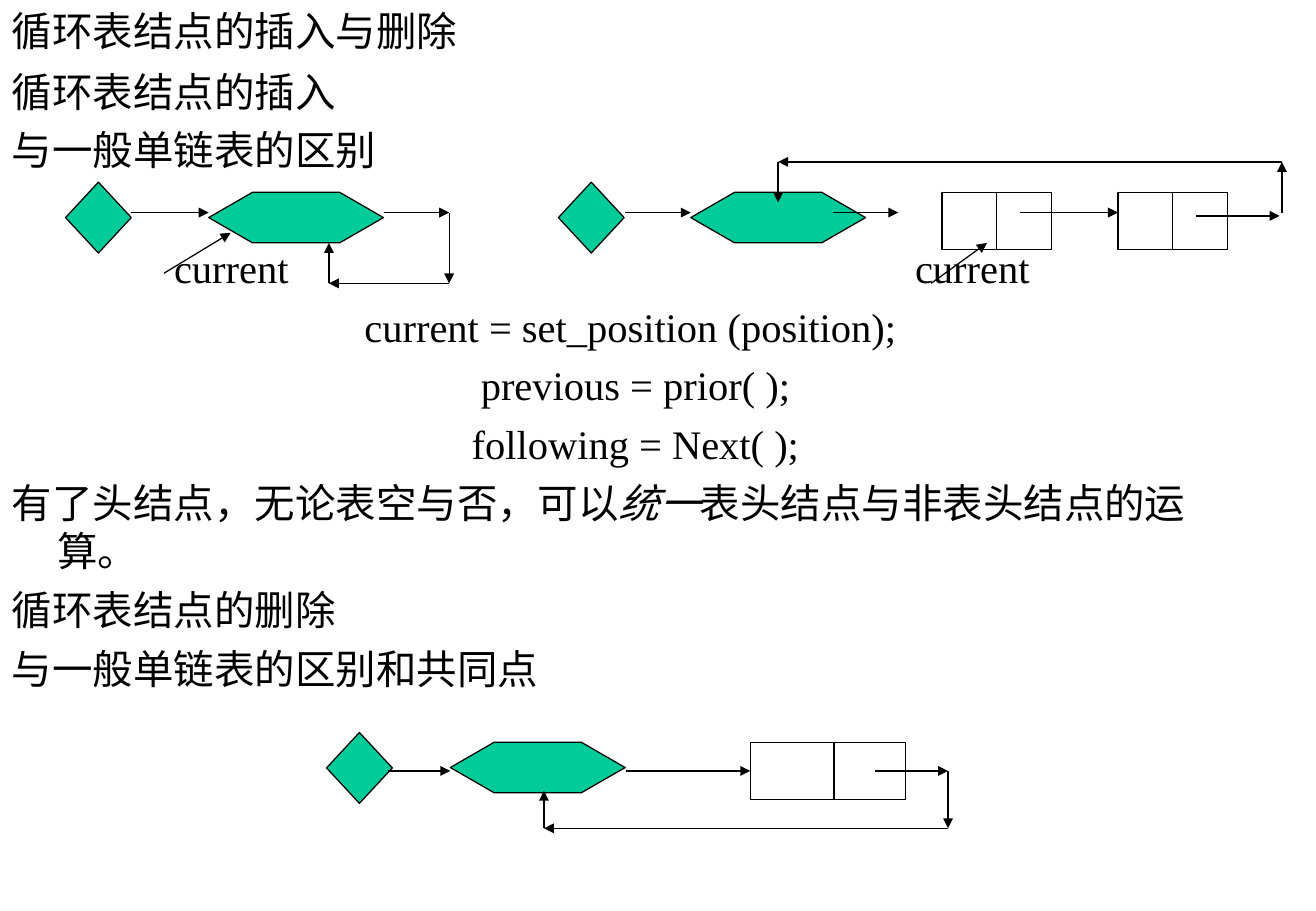
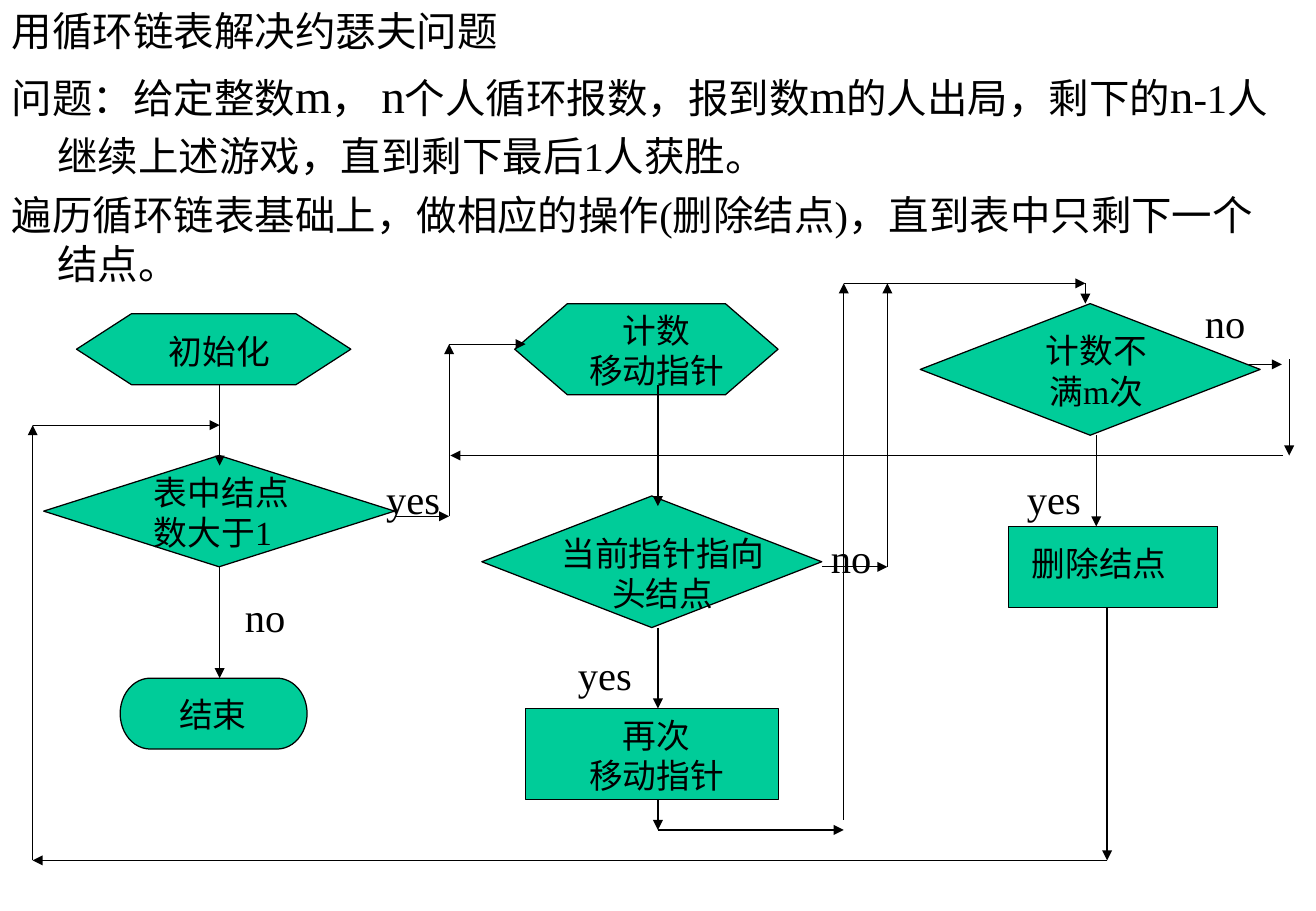
from dataclasses import dataclass
from typing import NamedTuple, Optional

from lxml import etree
from pptx import Presentation
from pptx.dml.color import RGBColor
from pptx.enum.shapes import MSO_CONNECTOR, MSO_SHAPE
from pptx.enum.text import MSO_ANCHOR, PP_ALIGN
from pptx.oxml.ns import qn
from pptx.util import Pt

LEFT, CENTER = PP_ALIGN.LEFT, PP_ALIGN.CENTER
TOP, MIDDLE = MSO_ANCHOR.TOP, MSO_ANCHOR.MIDDLE
DIAMOND, HEXAGON, RECTANGLE = MSO_SHAPE.DIAMOND, MSO_SHAPE.HEXAGON, MSO_SHAPE.RECTANGLE
PREPARATION = MSO_SHAPE.FLOWCHART_PREPARATION
DECISION = MSO_SHAPE.FLOWCHART_DECISION
TERMINATOR = MSO_SHAPE.FLOWCHART_TERMINATOR
PROCESS = MSO_SHAPE.FLOWCHART_PROCESS
STRAIGHT = MSO_CONNECTOR.STRAIGHT
LEFT_SIDE = 1


@dataclass(frozen=True)
class Theme:
    font: str = "Times New Roman"
    ink: RGBColor = RGBColor(0, 0, 0)
    node: RGBColor = RGBColor(0x00, 0xCC, 0x99)
    paper: RGBColor = RGBColor(255, 255, 255)
    body: float = 24
    variable: float = 28
    caption: float = 20
    line: float = 0.75
    outer_border: float = 1.08
    inner_border: float = 0.45
    leading: float = 1.2
    gap: float = 6
    hanging: float = 27


THEME = Theme()
LINE_STEP = THEME.body * THEME.leading + THEME.gap


class Box(NamedTuple):
    left: float
    top: float
    width: float
    height: float

    def lengths(self) -> list:
        return [Pt(value) for value in self]


class Run(NamedTuple):
    text: str
    size: Optional[float] = None
    italic: Optional[bool] = None


class Label(NamedTuple):
    text: str
    left: float
    top: float


@dataclass(frozen=True)
class Step:
    """A flowchart outline with its caption box."""
    kind: MSO_SHAPE
    outline: Box
    caption: Box
    lines: tuple
    align: PP_ALIGN = CENTER
    anchor: MSO_ANCHOR = TOP


def add_text(slide, box: Box, paragraphs, size: float = THEME.body, align=LEFT,
             anchor=TOP, gap: float = 0, hanging: float = 0,
             insets: tuple = (7.2, 3.6), wrap: bool = True) -> None:
    """Write paragraphs, each a plain string or a list of runs."""
    frame = slide.shapes.add_textbox(*box.lengths()).text_frame
    frame.word_wrap = wrap
    frame.vertical_anchor = anchor
    frame.margin_left = frame.margin_right = Pt(insets[0])
    frame.margin_top = frame.margin_bottom = Pt(insets[1])
    for index, content in enumerate(paragraphs):
        paragraph = frame.add_paragraph() if index else frame.paragraphs[0]
        runs = [Run(content)] if isinstance(content, str) else content
        paragraph.alignment = align
        paragraph.space_before = Pt(gap if index else 0)
        tallest = max(run.size or size for run in runs)
        paragraph.line_spacing = Pt(round(tallest * THEME.leading, 2))
        properties = paragraph._p.get_or_add_pPr()
        properties.set("hangingPunct", "0")
        if hanging:
            properties.set("marL", str(Pt(hanging)))
            properties.set("indent", str(-Pt(hanging)))
        paragraph.font.name = THEME.font
        paragraph.font.size = Pt(size)
        paragraph.font.color.rgb = THEME.ink
        for piece in runs:
            run = paragraph.add_run()
            run.text = piece.text
            if piece.size:
                run.font.size = Pt(piece.size)
            if piece.italic:
                run.font.italic = True


def add_body(slide, box: Box, paragraphs) -> None:
    add_text(slide, box, paragraphs, gap=THEME.gap, hanging=THEME.hanging)


def add_label(slide, label: Label) -> None:
    add_text(slide, Box(label.left, label.top, 70, 28.8), [label.text],
             insets=(0, 0), wrap=False)


def add_titled_slide(presentation, title: str):
    slide = presentation.slides.add_slide(presentation.slide_layouts[6])
    add_text(slide, Box(0, 0, 663, 36), [title], anchor=MIDDLE)
    return slide


def add_outline(slide, kind, box: Box, fill: RGBColor = THEME.node):
    shape = slide.shapes.add_shape(kind, *box.lengths())
    shape.shadow.inherit = False
    shape.fill.solid()
    shape.fill.fore_color.rgb = fill
    shape.line.color.rgb = THEME.ink
    shape.line.width = Pt(THEME.line)
    return shape


def add_line(slide, start: tuple, end: tuple, arrow: bool = True):
    connector = slide.shapes.add_connector(
        STRAIGHT, *[Pt(value) for value in (*start, *end)])
    connector.line.color.rgb = THEME.ink
    connector.line.width = Pt(THEME.line)
    if arrow:
        etree.SubElement(connector.line._get_or_add_ln(), qn("a:tailEnd"), type="triangle")
    etree.SubElement(connector._element.spPr, qn("a:effectLst"))
    return connector


def add_route(slide, *points: tuple) -> None:
    """Draw one arrow from each point to the next."""
    for start, end in zip(points, points[1:]):
        add_line(slide, start, end)


def add_list_start(slide, pointer: tuple, head: tuple) -> None:
    """Draw the diamond of the list pointer and the hexagon of the head node."""
    add_outline(slide, DIAMOND, Box(*pointer, 39, 42))
    hexagon = add_outline(slide, HEXAGON, Box(*head, 103.7, 30))
    hexagon.adjustments[0] = 0.867


def set_border(cell, side: str, width: float) -> None:
    border = etree.SubElement(cell._tc.get_or_add_tcPr(), qn(f"a:{side}"), w=str(Pt(width)))
    fill = etree.SubElement(border, qn("a:solidFill"))
    etree.SubElement(fill, qn("a:srgbClr"), val=str(THEME.ink))


def add_node_table(slide, box: Box) -> None:
    table = slide.shapes.add_table(1, 2, *box.lengths()).table
    table.first_row = table.horz_banding = False
    inner_sides = ("lnR", "lnL")
    for cell, inner in zip(table.rows[0].cells, inner_sides):
        for side in ("lnL", "lnR", "lnT", "lnB"):
            set_border(cell, side, THEME.inner_border if side == inner else THEME.outer_border)
        cell.fill.background()


def build_insertion_slide(presentation) -> None:
    slide = add_titled_slide(presentation, "循环表结点的插入与删除")
    width = 753.8
    add_body(slide, Box(0, 36, width, 72), ["循环表结点的插入", "与一般单链表的区别"])
    add_text(slide, Box(0, 36 + 4 * LINE_STEP, width, 106),
             ["current = set_position (position); ", "previous = prior( );",
              "following = Next( );"], align=CENTER, gap=THEME.gap)
    add_body(slide, Box(0, 36 + 7 * LINE_STEP, width, 140), [
        [Run("有了头结点，无论表空与否，可以"), Run("统一", italic=True),
         Run("表头结点与非表头结点的运算。")],
        "循环表结点的删除", "与一般单链表的区别和共同点"])
    for left in (103.2, 542.7):
        add_label(slide, Label("current", left, 144))

    for pointer, head in (((38.9, 108), (123.8, 114)), ((331.2, 108), (409.7, 114)),
                          ((193.7, 434.2), (267.1, 440))):
        add_list_start(slide, pointer, head)
    for left in (558.7, 663.1):
        add_node_table(slide, Box(left, 114, 64.8, 33.8))

    routes = (
        ((78, 126), (123.8, 126)),
        ((227.5, 126), (266.4, 126), (266.4, 168), (195.1, 168), (195.1, 144)),
        ((370.8, 126), (409.7, 126)),
        ((493.9, 126), (532.8, 126)),
        ((604.8, 126), (663.1, 126)),
        ((709.2, 128), (758.9, 128)),
        ((760.3, 126), (760.3, 96), (461.5, 96), (461.5, 120)),
        ((97.2, 162), (136.8, 138)),
        ((552.2, 168), (585.4, 144)),
        ((230.4, 457), (267.1, 457)),
    )
    for route in routes:
        add_route(slide, *route)

    last_node = add_outline(slide, RECTANGLE, Box(445, 440, 92.2, 34), THEME.paper)
    add_line(slide, (494.6, 440), (494.6, 474), arrow=False)
    add_line(slide, (371.5, 457), (445, 457)).end_connect(last_node, LEFT_SIDE)
    add_route(slide, (519.1, 457), (562.3, 457), (562.3, 491), (322.6, 491), (322.6, 468.7))


def build_josephus_slide(presentation) -> None:
    slide = add_titled_slide(presentation, "用循环链表解决约瑟夫问题")
    m, n = Run("m", THEME.variable), Run("n", THEME.variable)
    add_body(slide, Box(0, 36, 760.3, 140), [
        [Run("问题：给定整数"), m, Run("， "), n, Run("个人循环报数，报到数"), m,
         Run("的人出局，剩下的"), n, Run("-1人继续上述游戏，直到剩下最后1人获胜。")],
        "遍历循环链表基础上，做相应的操作(删除结点)，直到表中只剩下一个结点。"])

    answer_top = 281.2
    labels = (
        Label("no", 714.6, answer_top - 3 * LINE_STEP),
        Label("yes", 229, answer_top),
        Label("yes", 609, answer_top),
        Label("no", 492.8, answer_top + LINE_STEP),
        Label("no", 145.3, answer_top + 2 * LINE_STEP),
        Label("yes", 342.8, answer_top + 3 * LINE_STEP),
    )
    for label in labels:
        add_label(slide, label)

    steps = (
        Step(PREPARATION, Box(45.4, 186, 162.7, 42), Box(71.3, 192, 117.4, 31.7),
             ("初始化",), anchor=MIDDLE),
        Step(DECISION, Box(25.9, 270, 208.1, 66), Box(84.2, 276, 110.2, 55.4),
             ("表中结点数大于1",), LEFT),
        Step(TERMINATOR, Box(71.3, 402, 110.9, 42), Box(84.2, 408, 84.2, 31.7), ("结束",)),
        Step(PREPARATION, Box(305.3, 180, 156.2, 54), Box(337.7, 180, 103.7, 55.4),
             ("计数", "移动指针")),
        Step(DECISION, Box(285.8, 294, 201.6, 78), Box(324.7, 312, 136.8, 55.4),
             ("当前指针指向头结点",)),
        Step(PROCESS, Box(311.8, 420, 149.8, 54), Box(337.7, 420, 103.7, 55.4),
             ("再次", "移动指针")),
        Step(DECISION, Box(545.8, 180, 201.6, 78), Box(604.8, 192, 90.7, 55.4),
             ("计数不满m次",)),
        Step(PROCESS, Box(598.3, 312, 123.8, 48), Box(604.8, 318, 110.9, 31.7),
             ("删除结点",), LEFT),
    )
    for step in steps:
        add_outline(slide, step.kind, step.outline)
        add_text(slide, step.caption, step.lines, THEME.caption, step.align, step.anchor)

    routes = (
        ((130.3, 228), (130.3, 276)),
        ((130.3, 336), (130.3, 402)),
        ((234, 306), (266.4, 306), (266.4, 204), (311.8, 204)),
        ((390.2, 228), (390.2, 300)),
        ((390.2, 372), (390.2, 420)),
        ((390.2, 474), (390.2, 492), (500.4, 492)),
        ((500.4, 486), (500.4, 168), (643.7, 168), (643.7, 180)),
        ((650.2, 258), (650.2, 312)),
        ((487.4, 336), (526.3, 336), (526.3, 168)),
        ((656.6, 360), (656.6, 510), (19.4, 510), (19.4, 252), (130.3, 252)),
        ((740.9, 216), (760.3, 216)),
        ((764.6, 213), (764.6, 270)),
        ((761, 270), (267.1, 270)),
    )
    for route in routes:
        add_route(slide, *route)


def main() -> None:
    presentation = Presentation()
    presentation.slide_width = Pt(780.48)
    presentation.slide_height = Pt(540)
    build_insertion_slide(presentation)
    build_josephus_slide(presentation)
    presentation.save("out.pptx")


if __name__ == "__main__":
    main()
